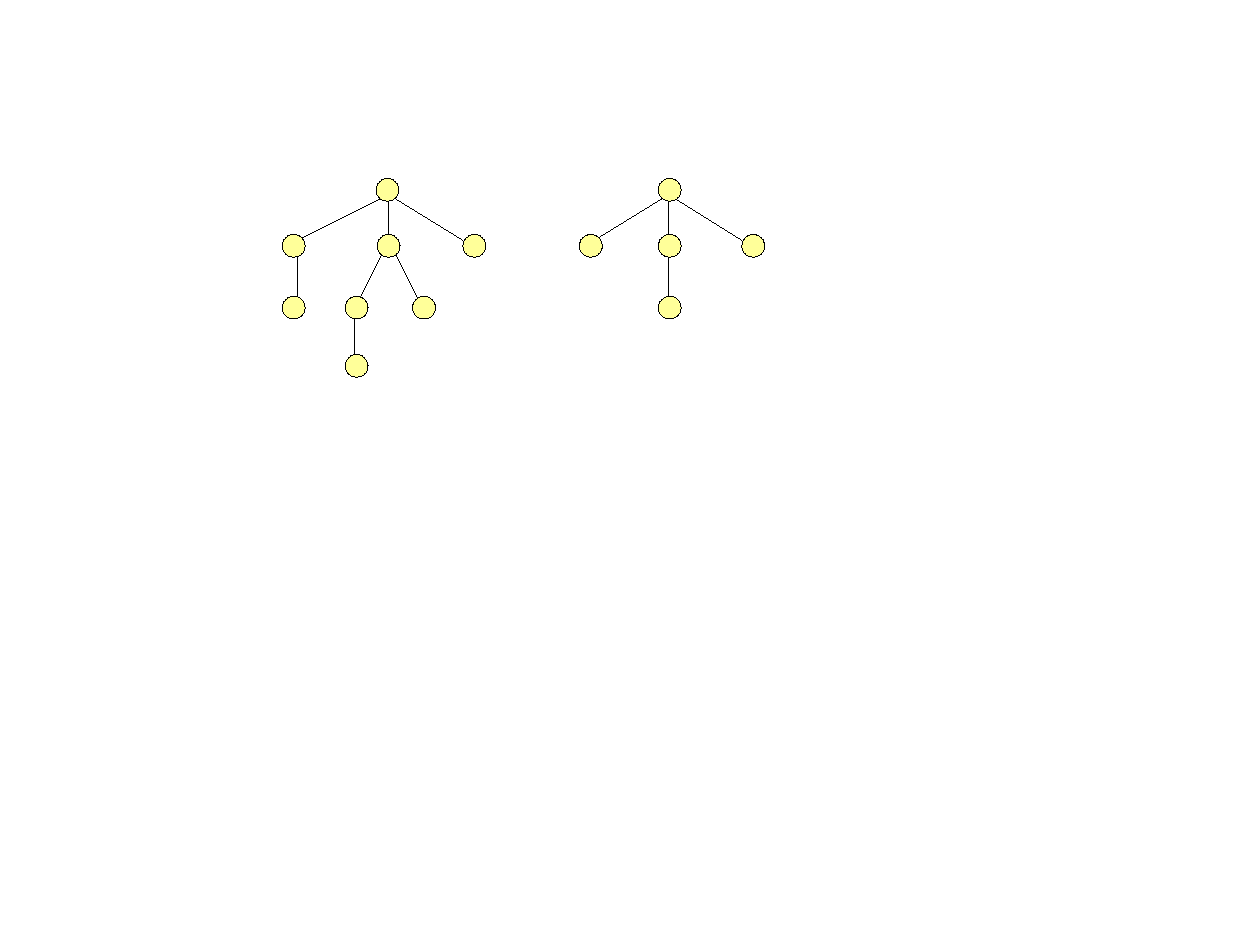
from lxml.etree import SubElement
from pptx import Presentation
from pptx.dml.color import RGBColor
from pptx.enum.shapes import MSO_CONNECTOR, MSO_SHAPE
from pptx.oxml.ns import qn
from pptx.util import Cm, Inches

WIDE, HIGH = Cm(28), Cm(21)
COLORS = {"node": "FFFF99", "line": "000000"}
SIZE = 0.2
# Each row of the grid: top of its nodes, height where edges meet
ROWS = [(1.56, 1.7), (2.05, 2.1), (2.59, 2.7), (3.1, 3.2)]

# Each node: row, left side, x where edges meet, index of its parent
LEFT = [
    (0, 3.29, 3.4, None),
    (1, 2.47, 2.6, 0),
    (1, 3.3, 3.4, 0),
    (1, 4.05, 4.05, 0),
    (2, 2.47, 2.6, 1),
    (2, 3.02, 3.1, 2),
    (2, 3.61, 3.7, 2),
    (3, 3.02, 3.1, 5),
]
RIGHT = [
    (0, 5.76, 5.85, None),
    (1, 5.07, 5.2, 0),
    (1, 5.76, 5.85, 0),
    (1, 6.49, 6.49, 0),
    (2, 5.76, 5.85, 2),
]


def color(name):
    return RGBColor.from_string(COLORS[name])


def stroke(shape):
    """Give a hairline; width 0 must be written or the theme's applies."""
    shape.line.color.rgb = color("line")
    shape._element.spPr.find(qn("a:ln")).set("w", "0")


def edge(slide, child, parent):
    ends = [Inches(n) for row, _, x, _ in (child, parent)
            for n in (x, ROWS[row][1])]
    line = slide.shapes.add_connector(MSO_CONNECTOR.STRAIGHT, *ends)
    stroke(line)
    SubElement(line._element.spPr, qn("a:effectLst"))


def node(slide, row, left):
    box = [Inches(n) for n in (left, ROWS[row][0], SIZE, SIZE)]
    dot = slide.shapes.add_shape(MSO_SHAPE.OVAL, *box)
    dot.shadow.inherit = False
    dot.fill.solid()
    dot.fill.fore_color.rgb = color("node")
    stroke(dot)


def tree(slide, nodes):
    """Draw the edges first, so that the nodes cover their ends."""
    for child in nodes:
        if child[3] is not None:
            edge(slide, child, nodes[child[3]])
    for row, left, _, _ in nodes:
        node(slide, row, left)


def main():
    deck = Presentation()
    deck.slide_width, deck.slide_height = WIDE, HIGH
    slide = deck.slides.add_slide(deck.slide_layouts[6])
    for nodes in (LEFT, RIGHT):
        tree(slide, nodes)
    deck.save("out.pptx")


if __name__ == "__main__":
    main()
